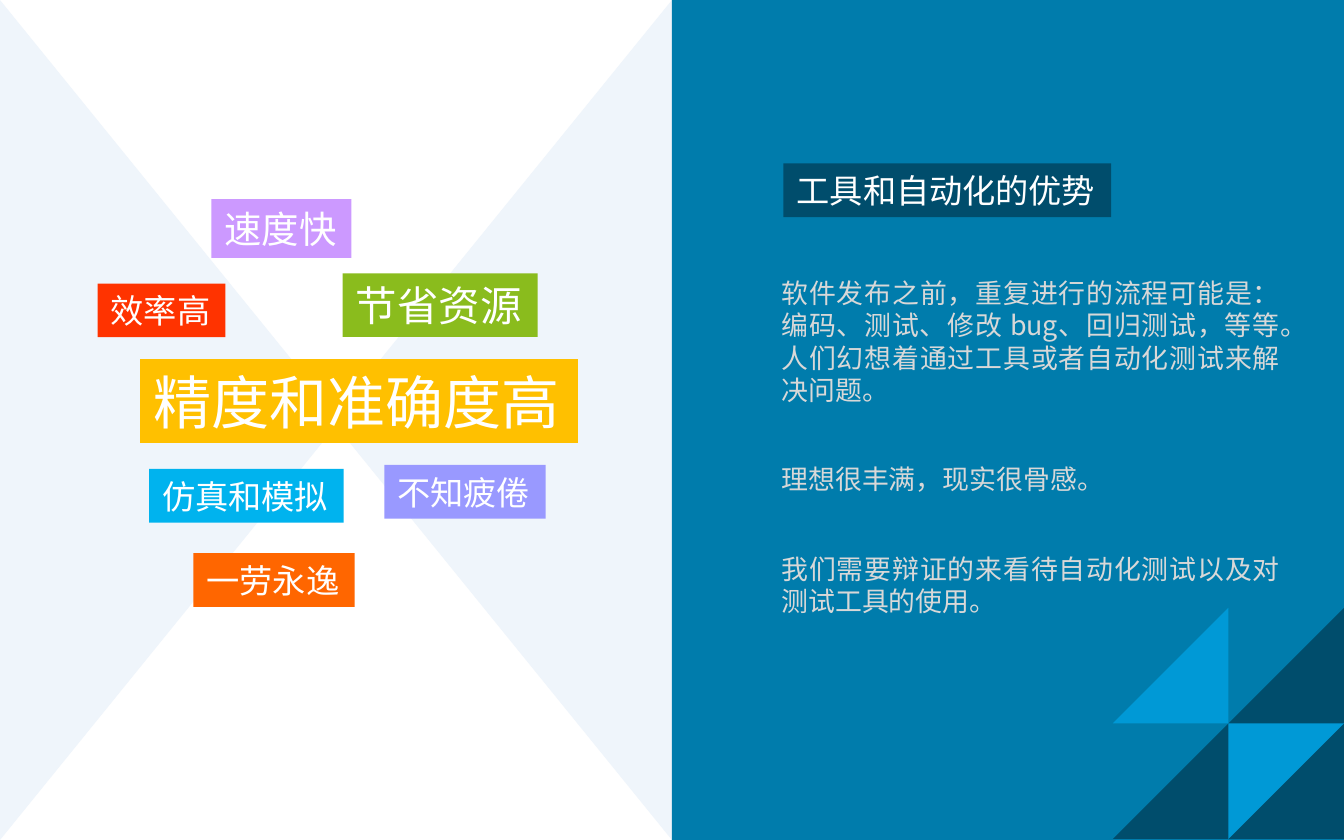
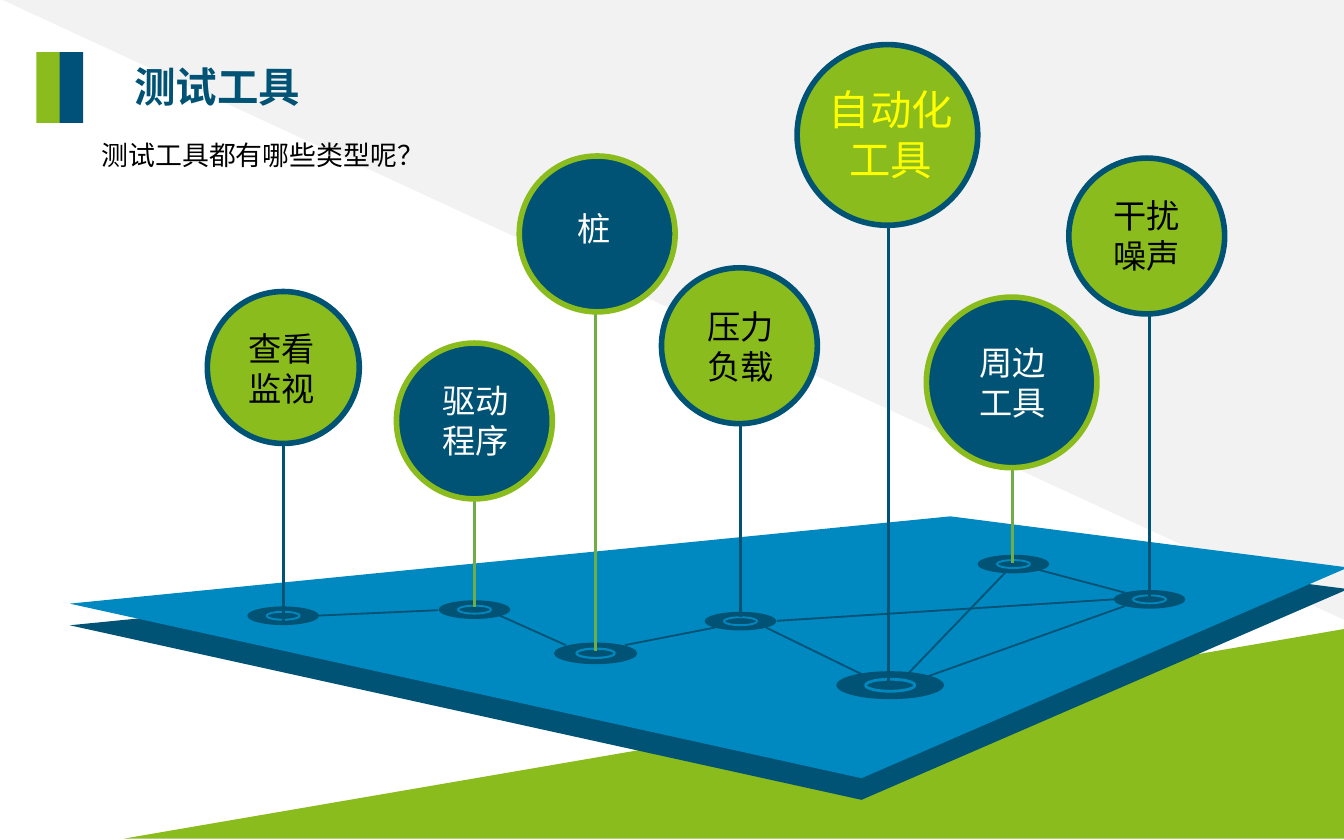
from lxml import etree
from pptx import Presentation
from pptx.dml.color import RGBColor
from pptx.enum.shapes import MSO_CONNECTOR, MSO_SHAPE
from pptx.enum.text import MSO_ANCHOR, MSO_AUTO_SIZE, PP_ALIGN
from pptx.oxml.ns import qn
from pptx.util import Pt

RECTANGLE, ELLIPSE = MSO_SHAPE.RECTANGLE, MSO_SHAPE.OVAL
TRIANGLE, CORNER = MSO_SHAPE.ISOSCELES_TRIANGLE, MSO_SHAPE.RIGHT_TRIANGLE
STRAIGHT = MSO_CONNECTOR.STRAIGHT
LEFT, CENTER, JUSTIFY = PP_ALIGN.LEFT, PP_ALIGN.CENTER, PP_ALIGN.JUSTIFY
TOP, MIDDLE = MSO_ANCHOR.TOP, MSO_ANCHOR.MIDDLE
NO_AUTOFIT = MSO_AUTO_SIZE.NONE

WIDTH, HEIGHT = 720, 450
FONT = "Noto Sans CJK KR"
COLORS = {
    "white": "FFFFFF", "black": "000000", "pale": "EFF5FB", "gray": "F2F2F2",
    "text": "D8D8D8", "panel": "007CAC", "deep": "004D6C", "light": "0099D6",
    "navy": "005374", "bar": "00517A", "plate": "0089C0", "green": "8ABC1D",
    "stem": "70AD47", "yellow": "FFFF00", "sky": "00B3EE", "gold": "FFC000",
    "red": "FF3300", "violet": "9999FF", "orange": "FF6600", "lilac": "CC99FF",
}


def color(name):
    return RGBColor.from_string(COLORS[name])


def paint(shape, fill, line=None, weight=0):
    shape.shadow.inherit = False
    shape.fill.solid()
    shape.fill.fore_color.rgb = color(fill)
    if line:
        shape.line.color.rgb = color(line)
        shape.line.width = Pt(weight)
    else:
        shape.line.fill.background()
    return shape


def add_block(page, kind, box, fill, turn=0, line=None, weight=0):
    """Place a preset so that it fills box even after a quarter turn."""
    left, top, width, height = box
    if turn in (90, 270):
        left, top = left + (width - height) / 2, top + (height - width) / 2
        width, height = height, width
    shape = page.shapes.add_shape(kind, Pt(left), Pt(top), Pt(width), Pt(height))
    shape.rotation = turn
    return paint(shape, fill, line, weight)


def add_outline(page, points, fill):
    # Hundredths of a point keep the corners exact
    fine = [(round(x * 100), round(y * 100)) for x, y in points]
    builder = page.shapes.build_freeform(*fine[0], scale=Pt(0.01))
    builder.add_line_segments(fine[1:], close=True)
    return paint(builder.convert_to_shape(), fill)


def add_line(page, start, end, name, weight):
    line = page.shapes.add_connector(STRAIGHT, *(Pt(v) for v in (*start, *end)))
    line.line.color.rgb = color(name)
    line.line.width = Pt(weight)
    etree.SubElement(line.element.spPr, qn("a:effectLst"))


def write(shape, lines, size, name, align=LEFT, anchor=MIDDLE, wrap=False,
          bold=False, before=0, after=0):
    frame = shape.text_frame
    frame.auto_size = NO_AUTOFIT
    frame.word_wrap = wrap
    frame.vertical_anchor = anchor
    frame.margin_left = frame.margin_right = Pt(7.2)
    frame.margin_top = frame.margin_bottom = Pt(3.6)
    for index, text in enumerate(lines):
        para = frame.add_paragraph() if index else frame.paragraphs[0]
        para.alignment = align
        para.space_before = Pt(before if index else 0)
        para.space_after = Pt(after)
        span = para.add_run()
        span.text = text
        span.font.size = Pt(size)
        span.font.bold = bold
        span.font.color.rgb = color(name)
        span.font.name = FONT
    # East Asian text needs its own typeface entry
    for latin in list(shape.element.iter(qn("a:latin"))):
        east = etree.Element(qn("a:ea"))
        east.set("typeface", FONT)
        latin.addnext(east)


def fill_placeholder(page, index, box, lines, size, name, **style):
    """Move a placeholder to box, on top of what is drawn so far."""
    holder = page.placeholders[index]
    holder.left, holder.top, holder.width, holder.height = (Pt(v) for v in box)
    holder.element.getparent().append(holder.element)
    write(holder, lines, size, name, **style)
    for item in holder.element.iter(qn("a:p")):
        properties = item.get_or_add_pPr()
        properties.set("marL", "0")
        properties.set("indent", "0")
        etree.SubElement(properties, qn("a:buNone"))
    return holder


# Advantages slide
TAGS = [  # text, left, top, width, height, size, fill
    ("仿真和模拟", 79.9, 251.2, 104.2, 28.8, 17.8, "sky"),
    ("精度和准确度高", 75.1, 192.4, 234.6, 44.9, 31.1, "gold"),
    ("效率高", 52.3, 151.9, 68.4, 28.8, 17.8, "red"),
    ("节省资源", 183.6, 146.4, 104.4, 34.1, 22.2, "green"),
    ("不知疲倦", 205.9, 249.1, 86.4, 28.8, 17.8, "violet"),
    ("一劳永逸", 103.6, 296.4, 86.4, 28.8, 17.8, "orange"),
    ("速度快", 113.2, 106.7, 75.1, 31.5, 20, "lilac"),
]
REMARKS = [
    "软件发布之前，重复进行的流程可能是：编码、测试、修改 bug、回归测试，等等。人们幻想着通过工具或者自动化测试来解决问题。",
    "理想很丰满，现实很骨感。",
    "我们需要辩证的来看待自动化测试以及对测试工具的使用。",
]


def draw_tag_cloud(page, box):
    left, top, width, height = box
    depth = 182.5
    add_block(page, TRIANGLE, (left, top, depth, height), "pale", 90)
    add_block(page, TRIANGLE, (left + width - depth, top, depth, height), "pale", 270)
    for text, x, y, wide, high, size, fill in TAGS:
        tag = add_block(page, RECTANGLE, (left + x, top + y, wide, high), fill)
        write(tag, [text], size, "white")


def draw_message_panel(page, box):
    left, top, width, height = box
    add_block(page, RECTANGLE, box, "panel")
    fill_placeholder(page, 1, (left + 51.4, top + 144.6, 281.7, 193.5), REMARKS, 14.4,
                     "text", align=JUSTIFY, anchor=TOP, wrap=True, before=24, after=6.7)
    title = fill_placeholder(page, 0, (left + 59.6, top + 87.5, 175.7, 28.8),
                             ["工具和自动化的优势"], 17.8, "white")
    paint(title, "deep")

    # Corner triangles
    half = 61.9
    x, y = left + width - 2 * half, top + height - 0.6 - 2 * half
    add_block(page, CORNER, (x, y, 2 * half, 2 * half), "deep", 270)
    add_block(page, CORNER, (x + half, y + half, half, half), "light", 90)
    add_block(page, CORNER, (x, y, half, half), "light", 270)


def build_advantages(page):
    half = WIDTH / 2
    draw_tag_cloud(page, (0, 0, half, HEIGHT))
    draw_message_panel(page, (half, 0, half, HEIGHT))


# Tools slide
PLATE = [(37.4, 323.4), (509.2, 276.6), (722.2, 304), (461.6, 416.9)]
DISCS = [  # centre x, centre y, width
    (151.7, 329.9, 38.4), (254.2, 326.6, 38.4), (319.1, 350, 44.6),
    (396.7, 332.8, 38.4), (476.9, 367.1, 57.6), (542.9, 302.2, 38.4),
    (615.8, 321.1, 38.4),
]
LINKS = [
    ((170.6, 329.8), (234.7, 326.9)), ((267.8, 329.8), (303.1, 345.6)),
    ((334.8, 345.6), (383, 336.2)), ((410.4, 336.2), (466.6, 363.6)),
    ((497.5, 362.2), (602.6, 324.7)), ((602.6, 317.5), (556.6, 305.3)),
    ((416.2, 332.6), (596.9, 321.1)), ((486.7, 360.7), (538.6, 306.7)),
]
NAVY_PIN = ("navy", "green", "stem", "white")  # fill, rim, stem, text
GREEN_PIN = ("green", "navy", "navy", "black")
MAIN_PIN = ("green", "navy", "navy", "yellow")
PINS = [  # lines, size, circle (left, top, diameter), stem (x, top, foot), style, text shift
    (["驱动", "程序"], 17.8, (212.4, 183.8, 83.5), (254.2, 221, 325.4), NAVY_PIN, (0.5, -0.6)),
    (["查看", "监视"], 17.8, (111.1, 156.2, 81.4), (151.9, 229.7, 333.4), GREEN_PIN, (-0.9, 0.5)),
    (["压力", "负载"], 17.8, (354.4, 143.5, 83.5), (396.7, 176.4, 330.5), GREEN_PIN, (0.7, 0.3)),
    (["干扰", "噪声"], 17.8, (572.6, 84.7, 83.5), (615.6, 154.1, 320.4), GREEN_PIN, (-0.2, -0.6)),
    (["自动化", "工具"], 22.2, (427, 23.9, 96.8), (475.9, 112.3, 367.2), MAIN_PIN, (1.8, -0.5)),
    (["桩"], 17.8, (278.2, 83.6, 83.5), (319, 96.5, 348.5), NAVY_PIN, (-1.6, -2.9)),
    (["周边", "工具"], 17.8, (496.3, 159.2, 91.4), (542.4, 216.7, 301.7), NAVY_PIN, (0.4, -0.2)),
]


def draw_backdrop(page, box):
    left, top, width, height = box
    add_block(page, CORNER, (left + 1.4, top, width - 1.4, 332), "gray", 180)
    add_block(page, CORNER, (left + 66.2, top + 337, width - 66.2, 112.3), "green", 270)


def draw_platform(page, left, top):
    for drop, fill in ((11.6, "navy"), (0, "plate")):
        add_outline(page, [(left + x, top + y + drop) for x, y in PLATE], fill)
    for x, y, width in DISCS:
        height = width * 0.26
        # Dark disc with a bright ring inside
        for wide, high, ring in ((width, height, None),
                                 (width * 0.46, height * 0.43, "plate")):
            box = (left + x - wide / 2, top + y - high / 2, wide, high)
            add_block(page, ELLIPSE, box, "navy", line=ring, weight=width / 38.4)
    for start, end in LINKS:
        add_line(page, (left + start[0], top + start[1]),
                 (left + end[0], top + end[1]), "navy", 1)


def draw_heading(page, left, top):
    for index, fill in enumerate(("green", "bar")):
        add_block(page, RECTANGLE, (left + 12.4 * index, top, 12.6, 38), fill)
    title = fill_placeholder(page, 0, (left + 45.4, top + 1.7, 233.3, 33.8),
                             ["测试工具"], 22.2, "navy", wrap=True, bold=True)
    title.rotation = 0.3
    fill_placeholder(page, 1, (left + 27.7, top + 42.5, 224.6, 24.5),
                     ["测试工具都有哪些类型呢？"], 14.4, "black",
                     anchor=TOP, wrap=True, after=6.7)


def draw_pin(page, left, top, pin):
    lines, size, (x, y, diameter), (stem_x, stem_top, foot), style, shift = pin
    fill, rim, stem, ink = style
    add_line(page, (left + stem_x, top + foot), (left + stem_x, top + stem_top), stem, 1.5)
    x, y = left + x, top + y
    add_block(page, ELLIPSE, (x, y, diameter, diameter), fill, line=rim, weight=3)
    wide = size * max(map(len, lines)) + 14.4
    high = size * 1.2 * len(lines) + 7.2
    label = page.shapes.add_textbox(Pt(x + (diameter - wide) / 2 + shift[0]),
                                    Pt(y + (diameter - high) / 2 + shift[1]),
                                    Pt(wide), Pt(high))
    write(label, lines, size, ink, align=CENTER)


def build_tools(page):
    draw_backdrop(page, (0, 0, WIDTH, HEIGHT))
    draw_platform(page, 0, 0)
    draw_heading(page, 19.5, 27.9)
    for pin in PINS:
        draw_pin(page, 0, 0, pin)


def main():
    deck = Presentation()
    deck.slide_width, deck.slide_height = Pt(WIDTH), Pt(HEIGHT)
    for build in (build_advantages, build_tools):
        build(deck.slides.add_slide(deck.slide_layouts[1]))
    deck.save("out.pptx")


if __name__ == "__main__":
    main()
